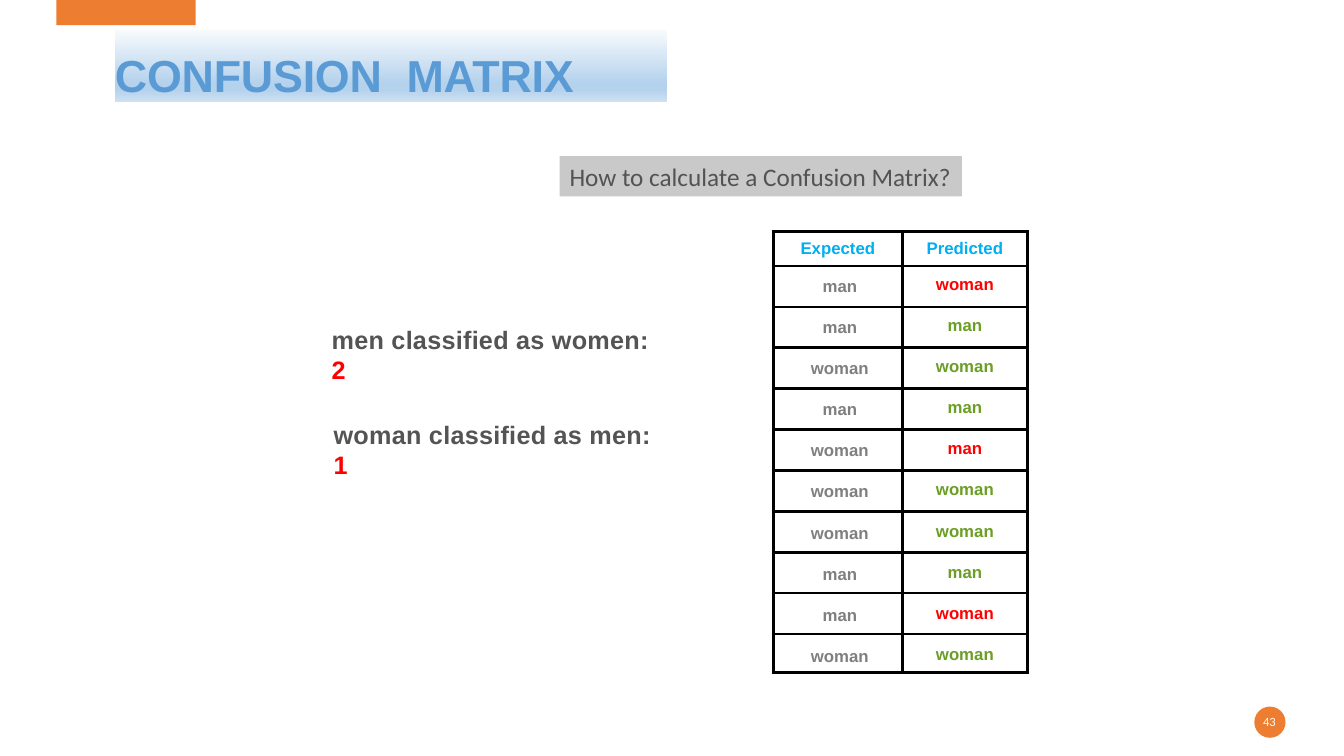
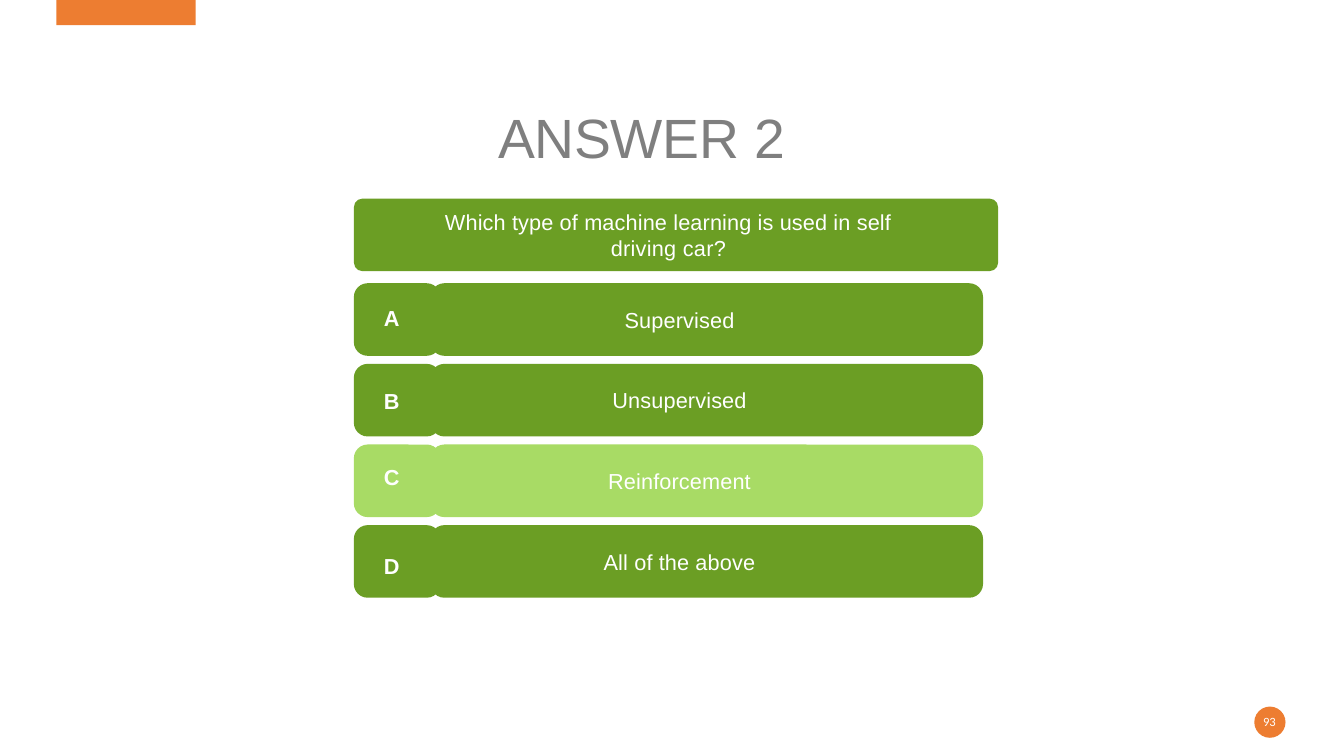
from dataclasses import dataclass

from pptx import Presentation
from pptx.dml.color import RGBColor
from pptx.enum.shapes import MSO_SHAPE
from pptx.enum.text import MSO_ANCHOR, MSO_AUTO_SIZE, PP_ALIGN
from pptx.oxml import parse_xml
from pptx.oxml.ns import nsdecls
from pptx.util import Inches, Pt

RECT, ROUNDED, OVAL = MSO_SHAPE.RECTANGLE, MSO_SHAPE.ROUNDED_RECTANGLE, MSO_SHAPE.OVAL
TOP, MIDDLE, BOTTOM = MSO_ANCHOR.TOP, MSO_ANCHOR.MIDDLE, MSO_ANCHOR.BOTTOM
LEFT, CENTER = PP_ALIGN.LEFT, PP_ALIGN.CENTER
NO_AUTOFIT = MSO_AUTO_SIZE.NONE

ORANGE, BLUE, CYAN = "ED7D31", "5B9BD5", "00AFF0"
GREEN, LIGHT_GREEN, RED = "6B9E24", "A8DB65", "FF0000"
WHITE, BLACK, GRAY = "FFFFFF", "000000", "7F7F7F"
DARK_GRAY, PALE_GRAY = "545454", "C9C9C9"
TITLE_STOPS = [(0, "F7FAFD"), (74, "B5D2EC"), (83, "B5D2EC"), (100, "CEE1F2")]


@dataclass(frozen=True)
class Box:
    left: float
    top: float
    width: float
    height: float

    def emu(self) -> tuple:
        return tuple(Inches(v) for v in (self.left, self.top, self.width, self.height))


@dataclass(frozen=True)
class Count:
    label: str
    value: str
    box: Box


@dataclass(frozen=True)
class Option:
    letter: str
    answer: str
    letter_top: float
    color: str = GREEN


COUNTS = [
    Count("men classified as women: ", "2", Box(3.18, 3.17, 3.54, 0.7)),
    Count("woman classified as men: ", "1", Box(3.2, 4.11, 3.54, 0.7)),
]
RESULTS = [
    ("man", "woman"), ("man", "man"), ("woman", "woman"), ("man", "man"),
    ("woman", "man"), ("woman", "woman"), ("woman", "woman"), ("man", "man"),
    ("man", "woman"), ("woman", "woman"),
]
OPTIONS = [
    Option("A", "Supervised", 2.97),
    Option("B", "Unsupervised", 3.79),
    Option("C", "Reinforcement", 4.55, LIGHT_GREEN),
    Option("D", "All of the above", 5.43),
]


def rgb(color: str) -> RGBColor:
    return RGBColor.from_string(color)


def write(p, text: str, *, size: float, color: str, font: str = "Arial",
          bold: bool = False, spacing: float = 0) -> None:
    r = p.add_run()
    r.text = text
    r.font.size = Pt(size)
    r.font.name = font
    r.font.bold = bold
    r.font.color.rgb = rgb(color)
    if spacing:
        r._r.get_or_add_rPr().set("spc", str(round(spacing * 100)))


def set_frame(tf, *, anchor=MIDDLE, align=CENTER, margins=(0, 0, 0, 0)):
    tf.word_wrap = True
    tf.auto_size = NO_AUTOFIT
    tf.vertical_anchor = anchor
    tf.margin_left, tf.margin_top, tf.margin_right, tf.margin_bottom = map(Inches, margins)
    p = tf.paragraphs[0]
    p.alignment = align
    return p


def add_shape(s, kind, box: Box, color: str, corner: float = 0):
    sp = s.shapes.add_shape(kind, *box.emu())
    sp.shadow.inherit = False
    sp.fill.solid()
    sp.fill.fore_color.rgb = rgb(color)
    sp.line.fill.background()
    if corner:
        sp.adjustments[0] = corner
    return sp


def add_text_box(s, box: Box, **frame):
    return set_frame(s.shapes.add_textbox(*box.emu()).text_frame, **frame)


def place_title(s, box: Box):
    sp = s.shapes.title
    sp.left, sp.top, sp.width, sp.height = box.emu()
    return sp, set_frame(sp.text_frame, anchor=BOTTOM, align=LEFT)


def decorate_layout(layout, s) -> None:
    band = add_shape(s, RECT, Box(0.56, 0, 1.38, 0.25), ORANGE)
    badge = add_shape(s, OVAL, Box(12.44, 7.01, 0.31, 0.31), ORANGE)
    for shape_id, sp in enumerate((band, badge), start=100):
        sp._element.nvSpPr.cNvPr.set("id", str(shape_id))
        layout.shapes._spTree.append(sp._element)


def add_number(s, number: str) -> None:
    p = add_text_box(s, Box(12.43, 7.06, 0.32, 0.2))
    write(p, number, size=9, color=WHITE, font="Calibri")


def fill_gradient(sp, stops: list) -> None:
    gs = "".join(f'<a:gs pos="{pos * 1000}"><a:srgbClr val="{color}"/></a:gs>'
                 for pos, color in stops)
    sp._element.spPr.append(parse_xml(
        f'<a:gradFill {nsdecls("a")}><a:gsLst>{gs}</a:gsLst>'
        '<a:lin ang="5400000" scaled="0"/></a:gradFill>'))


def set_borders(cell, **widths: float) -> None:
    tcPr = cell._tc.get_or_add_tcPr()
    for i, side in enumerate("LRTB"):
        width = Pt(widths.get(side, 2.25))
        tcPr.insert(i, parse_xml(
            f'<a:ln{side} {nsdecls("a")} w="{width}"><a:solidFill>'
            f'<a:srgbClr val="{BLACK}"/></a:solidFill></a:ln{side}>'))


def fill_cell(cell, text: str, color: str, *, top: float, left: float = 0,
              **borders: float) -> None:
    cell.fill.background()
    set_borders(cell, **borders)
    cell.vertical_anchor = TOP
    cell.margin_left, cell.margin_top = Inches(left), Inches(top)
    cell.margin_right = cell.margin_bottom = 0
    p = cell.text_frame.paragraphs[0]
    p.alignment = CENTER
    write(p, text, size=12, color=color, bold=True)


def add_results(s) -> None:
    box = Box(7.67, 2.3, 2.52, 4.37)
    head, last = 0.34, 0.38
    steps = len(RESULTS) - 1
    middle = (box.height - head - last) / steps
    table = s.shapes.add_table(len(RESULTS) + 1, 2, *box.emu()).table
    table.first_row = table.horz_banding = False
    for column, width in zip(table.columns, (1.28, 1.24)):
        column.width = Inches(width)
    for row, height in zip(table.rows, [head] + [middle] * steps + [last]):
        row.height = Inches(height)
    fill_cell(table.cell(0, 0), "Expected", CYAN, top=0.07, R=3)
    fill_cell(table.cell(0, 1), "Predicted", CYAN, top=0.07, L=3)
    for i, (expected, predicted) in enumerate(RESULTS):
        drift = 0.02 * i / steps
        verdict = GREEN if expected == predicted else RED
        fill_cell(table.cell(i + 1, 0), expected, GRAY, top=0.11 + drift, left=0.04, R=3)
        fill_cell(table.cell(i + 1, 1), predicted, verdict, top=0.09 + drift, L=3)


def build_matrix(s) -> None:
    sp, p = place_title(s, Box(1.14, 0.3, 5.48, 0.71))
    fill_gradient(sp, TITLE_STOPS)
    p.line_spacing = Pt(43.6)
    for text, spacing in (("CONFUSION", -0.2), (" ", 8.7), ("MATRIX", -0.2)):
        write(p, text, size=32, color=BLUE, bold=True, spacing=spacing)
    add_number(s, "43")
    question = add_shape(s, RECT, Box(5.55, 1.55, 3.99, 0.4), PALE_GRAY)
    p = set_frame(question.text_frame, align=LEFT, margins=(0.1, 0.05, 0, 0.05))
    write(p, "How to calculate a Confusion Matrix?", size=18, color="535353", font="Calibri")
    for count in COUNTS:
        p = add_text_box(s, count.box, anchor=TOP, align=LEFT, margins=(0.11, 0.05, 0.2, 0.05))
        write(p, count.label, size=18, color=DARK_GRAY, bold=True, spacing=0.2)
        write(p, count.value, size=18, color=RED, bold=True, spacing=0.1)
    add_results(s)


def add_option(s, option: Option, top: float) -> None:
    add_shape(s, ROUNDED, Box(3.51, top, 0.86, 0.72), option.color, corner=0.19)
    bar = add_shape(s, ROUNDED, Box(4.27, top, 5.48, 0.72), option.color, corner=0.19)
    p = set_frame(bar.text_frame, margins=(0, 0, 0.54, 0))
    write(p, option.answer, size=15.5, color=WHITE, spacing=0.1)
    tab = add_shape(s, RECT, Box(3.63, option.letter_top, 0.61, 0.37), option.color)
    p = set_frame(tab.text_frame, margins=(0, 0, 0.1, 0))
    write(p, option.letter, size=15.5, color=WHITE, bold=True, spacing=0.1)


def build_answer(s) -> None:
    _, p = place_title(s, Box(4.94, 1, 3.54, 0.68))
    write(p, "ANSWER ", size=39.5, color=GRAY, spacing=-0.2)
    write(p, "2", size=39.5, color=GRAY, spacing=0.1)
    add_number(s, "93")
    question = add_shape(s, ROUNDED, Box(3.51, 1.97, 6.39, 0.72), GREEN, corner=0.12)
    p = set_frame(question.text_frame, margins=(0, 0, 0.15, 0))
    write(p, "Which type of machine learning is used in self", size=15.5, color=WHITE, spacing=0.1)
    p = question.text_frame.add_paragraph()
    p.alignment = CENTER
    p.space_before = Pt(0.2)
    write(p, "driving car?", size=15.5, color=WHITE, spacing=0.2)
    for i, option in enumerate(OPTIONS):
        add_option(s, option, 2.81 + 0.8 * i)


def main() -> None:
    prs = Presentation()
    prs.slide_width, prs.slide_height = Inches(13.33), Inches(7.5)
    layout = prs.slide_layouts[5]
    matrix, answer = (prs.slides.add_slide(layout) for _ in range(2))
    decorate_layout(layout, matrix)
    build_matrix(matrix)
    build_answer(answer)
    prs.save("out.pptx")


if __name__ == "__main__":
    main()
